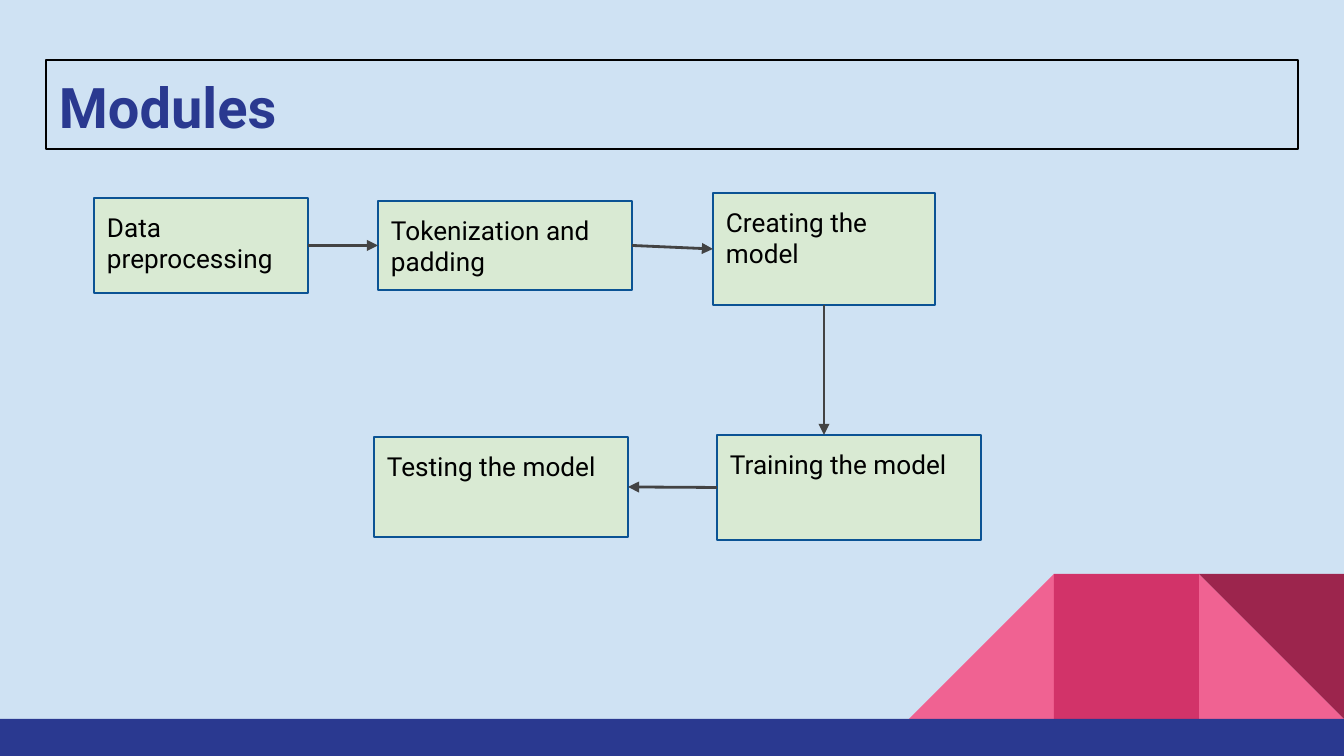
from lxml.etree import SubElement
from pptx import Presentation
from pptx.dml.color import RGBColor
from pptx.enum.shapes import MSO_CONNECTOR, MSO_SHAPE
from pptx.enum.text import MSO_ANCHOR, PP_ALIGN
from pptx.oxml.ns import qn
from pptx.util import Emu, Pt

SCALE = 914400 / 134.4
W, H = 1344, 756
FONT = "Roboto"
COLORS = {
    "background": "CFE2F3",
    "navy": "2A3990",
    "pink": "F06292",
    "rose": "D23369",
    "wine": "9C254D",
    "module": "D9EAD3",
    "border": "0B5394",
    "arrow": "434343",
    "black": "000000",
}
TOP, LEFT, BOTTOM, RIGHT = range(4)


def px(n):
    return Emu(round(n * SCALE))


def color(name):
    return RGBColor.from_string(COLORS[name])


def add_box(shapes, box, fill=None, line=None, kind=MSO_SHAPE.RECTANGLE):
    sp = shapes.add_shape(kind, *map(px, box))
    sp.shadow.inherit = False
    if fill:
        sp.fill.solid()
        sp.fill.fore_color.rgb = color(fill)
    else:
        sp.fill.background()
    if line:
        sp.line.color.rgb = color(line)
        sp.line.width = Pt(0.75)
    else:
        sp.line.fill.background()
    return sp


def set_text(sp, text, size, ink, bold=False):
    tf = sp.text_frame
    tf.word_wrap = True
    tf.vertical_anchor = MSO_ANCHOR.TOP
    tf.margin_left = tf.margin_right = tf.margin_top = tf.margin_bottom = px(13)
    tf.text = text
    p = tf.paragraphs[0]
    p.alignment = PP_ALIGN.LEFT
    r = p.runs[0]
    r.font.name = FONT
    r.font.size = Pt(size)
    r.font.bold = bold
    r.font.color.rgb = color(ink)


def add_arrow(s, start, start_side, end, end_side):
    x1, y1 = side_point(start, start_side)
    if end_side == TOP:
        x2, y2 = x1, end.top
    else:
        x2, y2 = side_point(end, end_side)
    cxn = s.shapes.add_connector(MSO_CONNECTOR.STRAIGHT, x1, y1, x2, y2)
    cxn.begin_connect(start, start_side)
    if end_side != TOP:
        cxn.end_connect(end, end_side)
    cxn.line.color.rgb = color("arrow")
    cxn.line.width = Pt(1.5)
    SubElement(cxn.line._get_or_add_ln(), qn("a:tailEnd"), type="triangle")
    SubElement(cxn._element.spPr, qn("a:effectLst"))


def side_point(sp, side):
    dx, dy = {TOP: (1, 0), LEFT: (0, 1), BOTTOM: (1, 2), RIGHT: (2, 1)}[side]
    return sp.left + sp.width * dx // 2, sp.top + sp.height * dy // 2


def add_footer(s, x, y, w, h):
    bar = 37
    tile = h - bar
    group = s.shapes.add_group_shape()
    triangle, square = MSO_SHAPE.RIGHT_TRIANGLE, MSO_SHAPE.RECTANGLE
    for column, kind, fill, rotation in (
        (2, triangle, "pink", 0),
        (0, triangle, "pink", 270),
        (1, square, "rose", 0),
        (2, triangle, "wine", 180),
    ):
        left = x + w - (3 - column) * tile
        sp = add_box(group.shapes, (left, y, tile, tile), fill, kind=kind)
        sp.rotation = rotation
    add_box(s.shapes, (x, y + tile, w, bar), "navy")


def add_title(s, x, y, w, h):
    sp = add_box(s.shapes, (x, y, w, h), line="black")
    set_text(sp, "Modules", 30, "navy", bold=True)


def add_flow(s, x, y):
    modules = []
    for text, dx, dy, w, h in (
        ("Data preprocessing", 0, 5, 214, 95),
        ("Tokenization and padding", 284, 8, 254, 89),
        ("Creating the model", 619, 0, 222, 112),
        ("Training the model", 623, 242, 264, 105),
        ("Testing the model", 280, 244, 254, 100),
    ):
        sp = add_box(s.shapes, (x + dx, y + dy, w, h), "module", "border")
        set_text(sp, text, 14, "black")
        modules.append(sp)
    sides = ((RIGHT, LEFT), (RIGHT, LEFT), (BOTTOM, TOP), (LEFT, RIGHT))
    for start, end, (start_side, end_side) in zip(modules, modules[1:], sides):
        add_arrow(s, start, start_side, end, end_side)


def main():
    prs = Presentation()
    prs.slide_width, prs.slide_height = px(W), px(H)
    s = prs.slides.add_slide(prs.slide_layouts[6])
    s.background.fill.solid()
    s.background.fill.fore_color.rgb = color("background")
    add_footer(s, 0, 574, W, H - 574)
    add_title(s, 46, 60, 1252, 89)
    add_flow(s, 94, 193)
    prs.save("out.pptx")


if __name__ == "__main__":
    main()
